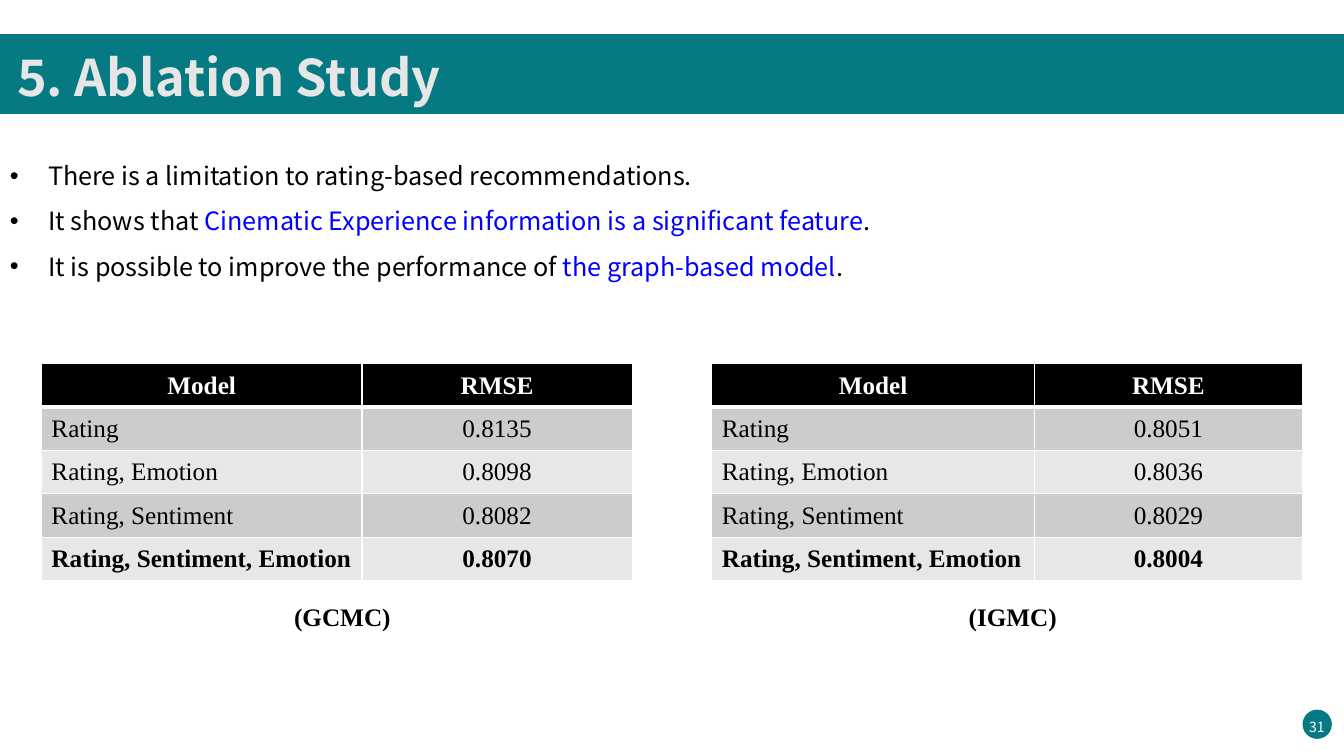
from lxml.etree import SubElement as Sub
from pptx import Presentation
from pptx.dml.color import RGBColor
from pptx.enum.shapes import MSO_SHAPE as Kind
from pptx.enum.text import MSO_ANCHOR as Anchor, MSO_AUTO_SIZE as Auto, PP_ALIGN as Align
from pptx.oxml import parse_xml
from pptx.oxml.ns import nsdecls, qn
from pptx.util import Inches, Pt

WIDE, HIGH = Inches(13.33), Inches(7.5)
TEAL = RGBColor(0x06, 0x7A, 0x82)
PALE = RGBColor(0xE7, 0xE6, 0xE6)
WHITE = RGBColor(0xFF, 0xFF, 0xFF)
BLACK = RGBColor(0, 0, 0)
BLUE = RGBColor(0, 0, 0xFF)
DARK = RGBColor(0xCC, 0xCC, 0xCC)
LIGHT = RGBColor(0xE7, 0xE7, 0xE7)
SANS, SERIF = "Noto Sans CJK KR", "Times New Roman"

POINTS = [
    [("There is a limitation to rating-based recommendations.", BLACK)],
    [("It shows that ", BLACK),
     ("Cinematic Experience information is a significant feature", BLUE),
     (".", BLACK)],
    [("It is possible to improve the performance of ", BLACK),
     ("the graph-based model", BLUE), (".", BLACK)],
]
MODELS = ["Rating", "Rating, Emotion", "Rating, Sentiment", "Rating, Sentiment, Emotion"]
GROUPS = [
    ("(GCMC)", 3.08, 23.85, ["0.8135", "0.8098", "0.8082", "0.8070"]),
    ("(IGMC)", 52.96, 24, ["0.8051", "0.8036", "0.8029", "0.8004"]),
]
SPAN, TOP, DEEP = 43.96, 48.13, 28.67


def col(share):
    return round(WIDE * share / 100)


def row(share):
    return round(HIGH * share / 100)


def place(left, top, width, height):
    return col(left), row(top), col(width), row(height)


def add_run(para, text, size, face, color, bold=False):
    run = para.add_run()
    run.text = text
    font = run.font
    font.size, font.name, font.bold = Pt(size), face, bold
    font.color.rgb = color


def add_form(slide, kind, area):
    form = slide.shapes.add_shape(kind, *place(*area))
    form.shadow.inherit = False
    form.fill.solid()
    form.fill.fore_color.rgb = TEAL
    form.line.fill.background()


def add_box(slide, area, wrap=True, fit=Auto.SHAPE_TO_FIT_TEXT):
    frame = slide.shapes.add_textbox(*place(*area)).text_frame
    frame.word_wrap = wrap
    frame.auto_size = fit
    return frame


def add_label(slide, area, text, size, face, color, bold=True,
              align=Align.CENTER, space=1.0, wrap=True, anchor=Anchor.TOP):
    frame = add_box(slide, area, wrap)
    frame.vertical_anchor = anchor
    para = frame.paragraphs[0]
    para.alignment, para.line_spacing = align, space
    add_run(para, text, size, face, color, bold)


def add_points(slide, area, points):
    frame = add_box(slide, area, fit=Auto.NONE)
    for i, parts in enumerate(points):
        para = frame.add_paragraph() if i else frame.paragraphs[0]
        para.line_spacing = 1.5
        props = para._p.get_or_add_pPr()
        props.set("marL", str(Inches(0.38)))
        props.set("indent", str(-Inches(0.38)))
        tint = Sub(props, qn("a:buClr"))
        Sub(tint, qn("a:srgbClr"), val=str(BLACK))
        Sub(props, qn("a:buFont"), typeface="Arial")
        Sub(props, qn("a:buChar"), char="•")
        for text, color in parts:
            add_run(para, text, 18, SANS, color)


def add_edges(cell, level):
    widths = {"L": 1, "R": 1, "T": 3 if level == 1 else 1, "B": 1 if level else 3}
    props = cell._tc.get_or_add_tcPr()
    for i, (side, width) in enumerate(widths.items()):
        props.insert(i, parse_xml(
            f'<a:ln{side} {nsdecls("a")} w="{Pt(width)}"><a:solidFill>'
            f'<a:srgbClr val="{WHITE}"/></a:solidFill></a:ln{side}>'))


def add_grid(slide, area, first, lines):
    table = slide.shapes.add_table(len(lines), 2, *place(*area)).table
    table.columns[0].width = col(first)
    table.columns[1].width = col(area[2] - first)
    for level, line in enumerate(lines):
        fill = DARK if level % 2 else LIGHT
        for side, text in enumerate(line):
            cell = table.cell(level, side)
            cell.fill.solid()
            cell.fill.fore_color.rgb = fill if level else BLACK
            cell.vertical_anchor = Anchor.MIDDLE
            add_edges(cell, level)
            para = cell.text_frame.paragraphs[0]
            para.alignment = Align.CENTER if side or not level else Align.LEFT
            add_run(para, text, 18, SERIF, BLACK if level else WHITE,
                    level in (0, len(lines) - 1))


def main():
    deck = Presentation()
    deck.slide_width, deck.slide_height = WIDE, HIGH
    slide = deck.slides.add_slide(deck.slide_layouts[6])
    add_form(slide, Kind.OVAL, (96.92, 93.87, 2.18, 3.87))
    add_label(slide, (95.95, 93.33, 4.05, 4.4), "31", 10, SANS, WHITE,
              bold=False, space=1.5, wrap=False)
    add_form(slide, Kind.RECTANGLE, (0, 4.53, 100, 10.53))
    add_label(slide, (0.53, 2, 99.47, 12.27), "5. Ablation Study", 36, SANS, PALE,
              align=Align.LEFT, space=1.5, anchor=Anchor.MIDDLE)
    add_points(slide, (0, 18.53, 100, 19.07), POINTS)
    for name, left, first, scores in GROUPS:
        lines = [("Model", "RMSE"), *zip(MODELS, scores)]
        add_grid(slide, (left, TOP, SPAN, DEEP), first, lines)
        add_label(slide, (left + 9.98, 78.93, 24.83, 5.33), name, 18, SERIF, BLACK)
    deck.save("out.pptx")


if __name__ == "__main__":
    main()
